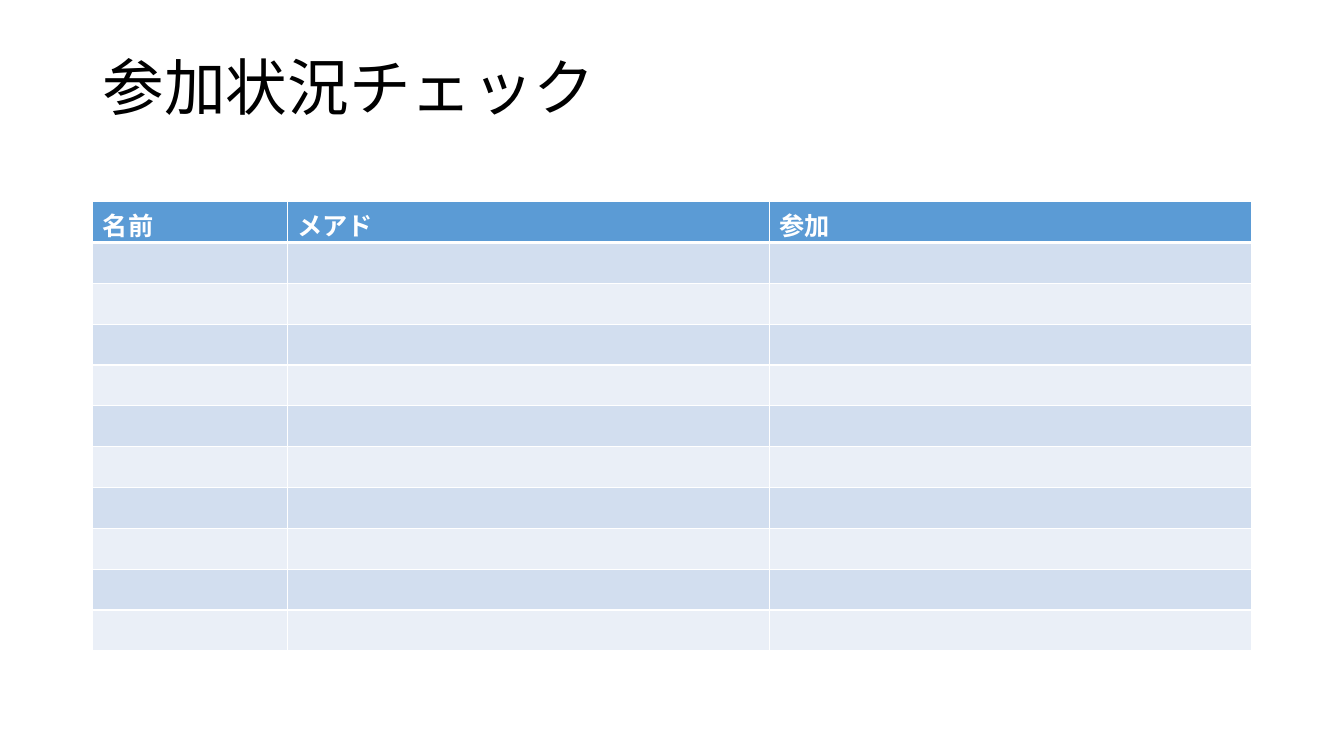
from dataclasses import dataclass

from lxml.etree import SubElement
from pptx import Presentation
from pptx.dml.color import RGBColor
from pptx.enum.text import MSO_ANCHOR
from pptx.oxml.ns import qn
from pptx.util import Inches, Pt


@dataclass(frozen=True)
class Theme:
    font: str = "Calibri"
    title_size: int = 44
    table_size: int = 18
    ink: str = "000000"
    white: str = "FFFFFF"
    header: str = "5B9BD5"
    bands: tuple = ("D2DEEF", "EAEFF7")
    thin: int = 1
    thick: int = 3


THEME = Theme()
HEADINGS = ("名前", "メアド", "参加")
COLUMN_WIDTHS = (1.93, 4.78, 4.78)
BLANK_ROWS = 10


def write_text(frame, text, size, color, bold=False, line_spacing=None):
    para = frame.paragraphs[0]
    para.line_spacing = line_spacing
    span = para.add_run()
    span.text = text
    font = span.font
    font.name = THEME.font
    font.size = Pt(size)
    font.bold = bold
    font.color.rgb = RGBColor.from_string(color)


def style_cell(cell, fill, bottom_width):
    properties = cell._tc.get_or_add_tcPr()
    widths = {"L": THEME.thin, "R": THEME.thin, "T": THEME.thin, "B": bottom_width}
    for side, width in widths.items():
        line = SubElement(properties, qn(f"a:ln{side}"), w=str(Pt(width)))
        solid = SubElement(line, qn("a:solidFill"))
        SubElement(solid, qn("a:srgbClr"), val=THEME.white)
    cell.fill.solid()
    cell.fill.fore_color.rgb = RGBColor.from_string(fill)


def add_title(page, text, left, top, width, height):
    box = page.shapes.add_textbox(left, top, width, height)
    frame = box.text_frame
    frame.word_wrap = True
    frame.vertical_anchor = MSO_ANCHOR.MIDDLE
    write_text(frame, text, THEME.title_size, THEME.ink, line_spacing=0.9)


def add_attendance_table(page, left, top, width, height):
    row_count = BLANK_ROWS + 1
    table = page.shapes.add_table(
        row_count, len(HEADINGS), left, top, width, height
    ).table
    for column, column_width in zip(table.columns, COLUMN_WIDTHS):
        column.width = Inches(column_width)
    for index, row in enumerate(table.rows):
        row.height = height // row_count
        is_header = index == 0
        fill = THEME.header if is_header else THEME.bands[(index - 1) % 2]
        for cell in row.cells:
            style_cell(cell, fill, THEME.thick if is_header else THEME.thin)
    for cell, heading in zip(table.rows[0].cells, HEADINGS):
        write_text(cell.text_frame, heading, THEME.table_size, THEME.white, bold=True)


def main():
    deck = Presentation()
    deck.slide_width = Inches(13.33)
    deck.slide_height = Inches(7.5)
    page = deck.slides.add_slide(deck.slide_layouts[6])
    left, width = Inches(0.92), Inches(11.5)
    add_title(page, "参加状況チェック", left, Inches(0.17), width, Inches(1.45))
    add_attendance_table(page, left, Inches(2), width, Inches(4.46))
    deck.save("out.pptx")


if __name__ == "__main__":
    main()
